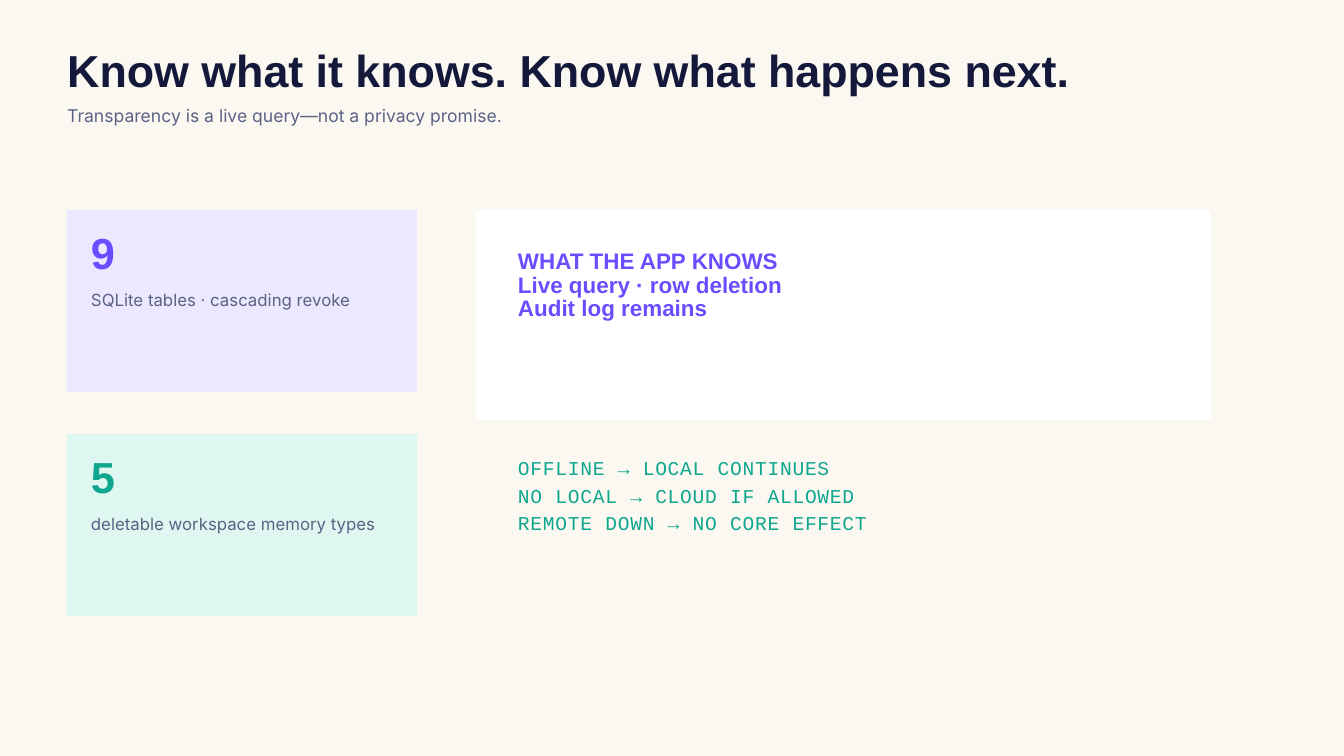
from dataclasses import dataclass
from typing import Any

from pptx import Presentation
from pptx.dml.color import RGBColor
from pptx.enum.shapes import MSO_SHAPE
from pptx.enum.text import MSO_ANCHOR, MSO_AUTO_SIZE, PP_ALIGN
from pptx.util import Emu, Pt

RECT = MSO_SHAPE.RECTANGLE
TOP = MSO_ANCHOR.TOP
LEFT = PP_ALIGN.LEFT
GROW = MSO_AUTO_SIZE.SHAPE_TO_FIT_TEXT

PX = 9525
MARGIN = 96
TOP_ROW = 300
CARD_W, CARD_H, CARD_PITCH = 500, 260, 320
CARD_PAD = 34

COLORS = {
    "paper": "FBF8F1",
    "ink": "14183A",
    "muted": "5B6285",
    "violet": "6A4DFF",
    "violet_tint": "ECE8FF",
    "green": "0FA68E",
    "green_tint": "DFF7F1",
    "white": "FFFFFF",
}


@dataclass(frozen=True)
class Box:
    x: int
    y: int
    w: int
    h: int


@dataclass(frozen=True)
class Style:
    font: str
    size: float
    leading: float
    bold: bool = False
    tracking: int = 0


@dataclass(frozen=True)
class Card:
    number: str
    label: str
    color: str
    tint: str


TITLE = Style("Arial", 48, 50.4, bold=True)
SUBTITLE = Style("Inter", 18.8, 25.3)
NUMBER = Style("Arial", 46.5, 48.8, bold=True)
LABEL = Style("Inter", 18, 24.3)
PANEL = Style("Arial", 24, 25.2, bold=True)
STATUS = Style("Courier New", 21, 29.4, tracking=80)

CARDS = [
    Card("9", "SQLite tables · cascading revoke", "violet", "violet_tint"),
    Card("5", "deletable workspace memory types", "green", "green_tint"),
]
PANEL_LINES = ["WHAT THE APP KNOWS", "Live query · row deletion", "Audit log remains"]
STATUS_LINES = [
    "OFFLINE → LOCAL CONTINUES",
    "NO LOCAL → CLOUD IF ALLOWED",
    "REMOTE DOWN → NO CORE EFFECT",
]


def rgb(name: str) -> RGBColor:
    return RGBColor.from_string(COLORS[name])


def emu(box: Box) -> list[Emu]:
    return [Emu(v * PX) for v in (box.x, box.y, box.w, box.h)]


def set_attrs(target: Any, values: dict[str, Any]) -> None:
    for name, value in values.items():
        setattr(target, name, value)


def write(sp: Any, lines: list[str], style: Style, color: str) -> None:
    tf = sp.text_frame
    set_attrs(tf, {
        "margin_left": 0, "margin_top": 0, "margin_right": 0, "margin_bottom": 0,
        "word_wrap": True, "vertical_anchor": TOP, "auto_size": GROW,
    })
    for i, line in enumerate(lines):
        p = tf.add_paragraph() if i else tf.paragraphs[0]
        set_attrs(p, {"alignment": LEFT, "line_spacing": Pt(style.leading)})
        r = p.add_run()
        r.text = line
        set_attrs(r.font, {"name": style.font, "size": Pt(style.size), "bold": style.bold})
        r.font.color.rgb = rgb(color)
        if style.tracking:
            r._r.get_or_add_rPr().set("spc", str(style.tracking))


def add_text(shapes: Any, box: Box, lines: list[str], style: Style, color: str) -> None:
    write(shapes.add_textbox(*emu(box)), lines, style, color)


def add_rect(shapes: Any, box: Box, color: str) -> None:
    sp = shapes.add_shape(RECT, *emu(box))
    sp.shadow.inherit = False
    sp.fill.solid()
    sp.fill.fore_color.rgb = rgb(color)
    sp.line.fill.background()


def add_card(shapes: Any, card: Card, y: int) -> None:
    group = shapes.add_group_shape().shapes
    x, w = MARGIN + CARD_PAD, CARD_W - 2 * CARD_PAD
    add_rect(group, Box(MARGIN, y, CARD_W, CARD_H), card.tint)
    add_text(group, Box(x, y + 32, w, 77), [card.number], NUMBER, card.color)
    add_text(group, Box(x, y + 110, w, 31), [card.label], LABEL, "muted")


def main() -> None:
    prs = Presentation()
    prs.slide_width, prs.slide_height = Emu(1920 * PX), Emu(1080 * PX)
    s = prs.slides.add_slide(prs.slide_layouts[5])
    s.background.fill.solid()
    s.background.fill.fore_color.rgb = rgb("paper")

    title = s.shapes.title
    set_attrs(title, dict(zip(("left", "top", "width", "height"), emu(Box(MARGIN, 70, 1500, 79)))))
    write(title, ["Know what it knows. Know what happens next."], TITLE, "ink")
    add_text(s.shapes, Box(MARGIN, 147, 1500, 33),
             ["Transparency is a live query—not a privacy promise."], SUBTITLE, "muted")

    for i, card in enumerate(CARDS):
        add_card(s.shapes, card, TOP_ROW + i * CARD_PITCH)

    panel = s.shapes.add_group_shape().shapes
    add_rect(panel, Box(680, TOP_ROW, 1050, 300), "white")
    add_text(panel, Box(740, 358, 500, 106), PANEL_LINES, PANEL, "violet")
    add_text(s.shapes, Box(740, 646, 940, 115), STATUS_LINES, STATUS, "green")

    prs.save("out.pptx")


if __name__ == "__main__":
    main()
